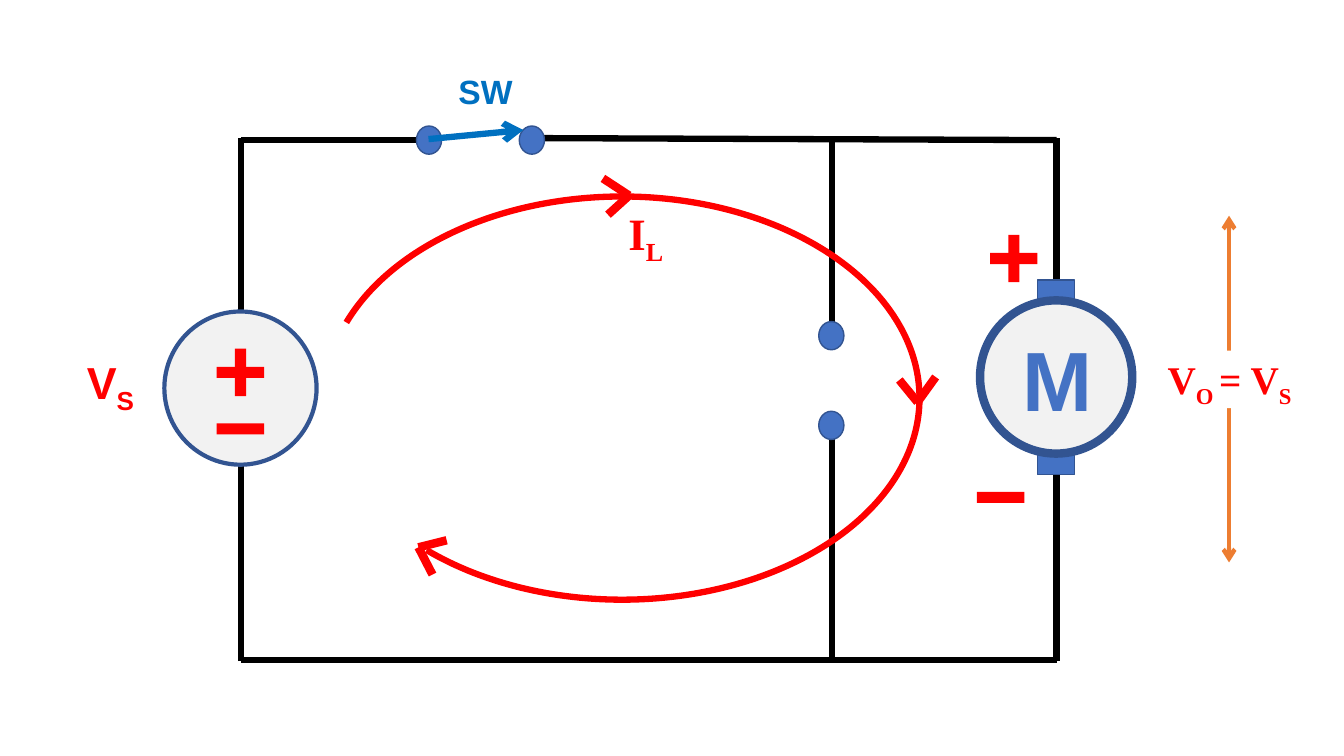
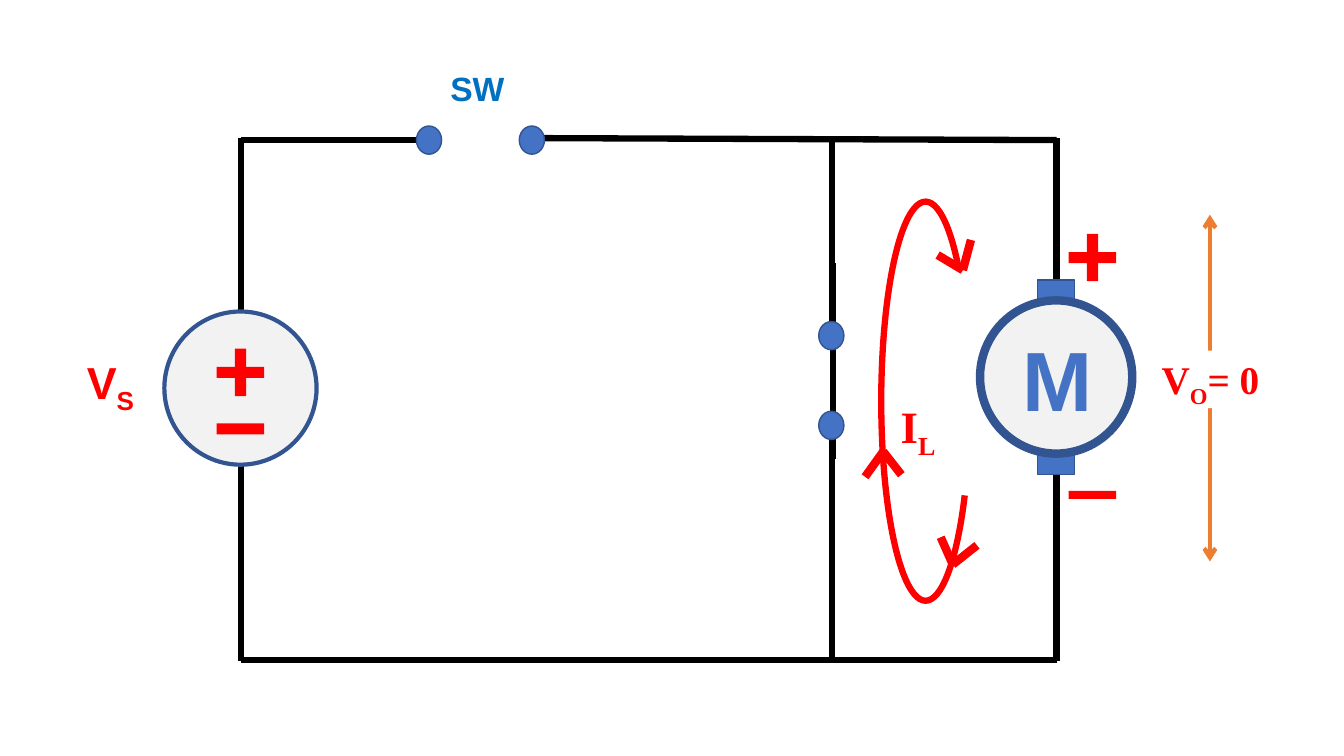
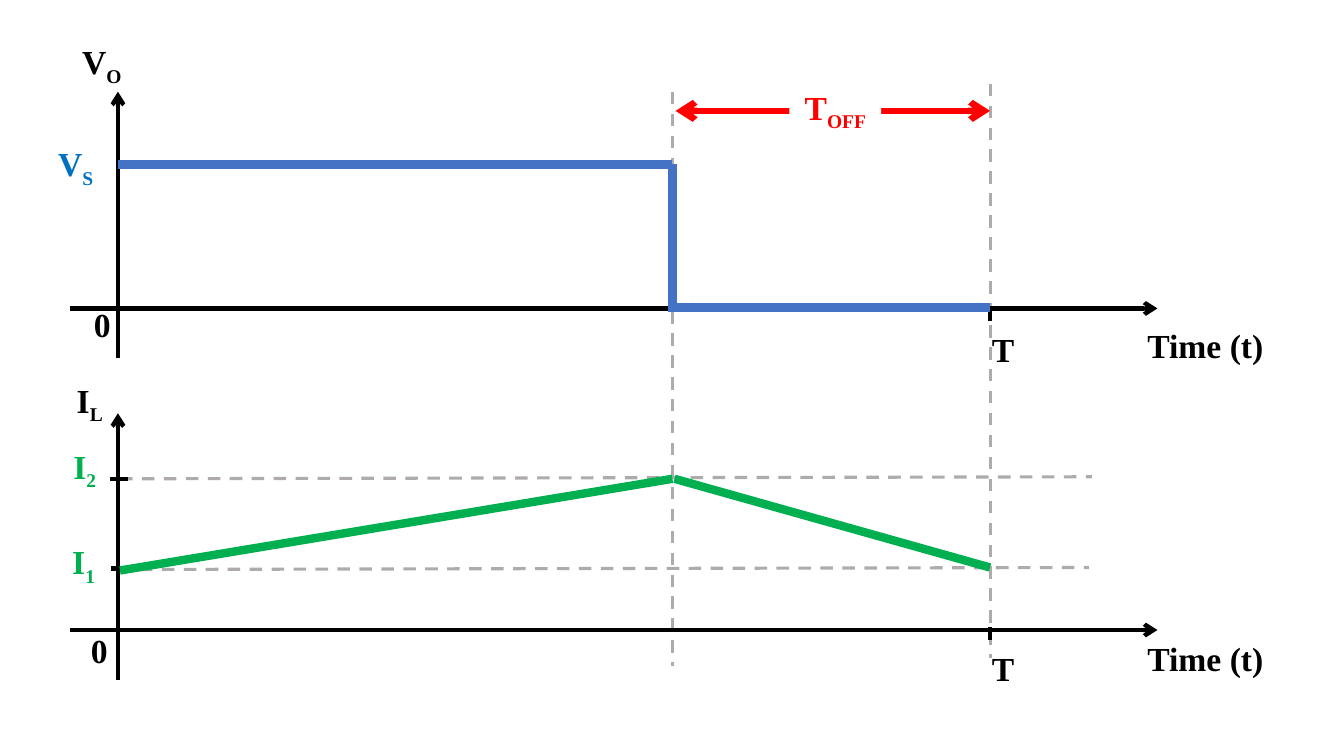
import pptx
import pptx.util
import pptx.dml.color
import pptx.enum.dml
import pptx.enum.shapes
import pptx.enum.text
import pptx.oxml.ns
import pptx.oxml.xmlchemy

Inches = pptx.util.Inches
RGBColor = pptx.dml.color.RGBColor
SHAPES = pptx.enum.shapes.MSO_SHAPE

BLACK = RGBColor(0x00, 0x00, 0x00)
WHITE = RGBColor(0xFF, 0xFF, 0xFF)
RED = RGBColor(0xFF, 0x00, 0x00)
BLUE = RGBColor(0x44, 0x72, 0xC4)
NAVY = RGBColor(0x32, 0x54, 0x91)
SKY = RGBColor(0x00, 0x70, 0xC0)
GREEN = RGBColor(0x00, 0xB0, 0x50)
ORANGE = RGBColor(0xED, 0x7D, 0x31)
PALE = RGBColor(0xF2, 0xF2, 0xF2)
GREY = RGBColor(0xAF, 0xAB, 0xAB)

SANS = "Arial"
SERIF = "Times New Roman"

# Circuit and chart positions shared by several parts
LEFT_X, SHUNT_X, RIGHT_X = 2.39, 8.25, 10.48
TOP_Y, BOTTOM_Y = 1.39, 6.55
AXIS_X, SWITCH_X, PERIOD_X = 1.17, 6.67, 9.82


# Basic elements
def add_line(slide, start, end, color=BLACK, width=4.5, ends=(), dashed=False):
    """Straight line; ends may hold "headEnd" (at start) and "tailEnd" (at end)."""
    line = slide.shapes.add_connector(
        pptx.enum.shapes.MSO_CONNECTOR.STRAIGHT,
        *(Inches(value) for value in (*start, *end)))
    line.line.color.rgb = color
    line.line.width = pptx.util.Pt(width)
    if dashed:
        line.line.dash_style = pptx.enum.dml.MSO_LINE.DASH
    properties = line.element.spPr
    outline = properties.find(pptx.oxml.ns.qn("a:ln"))
    for name in ends:
        arrow = pptx.oxml.xmlchemy.OxmlElement("a:" + name)
        arrow.set("type", "arrow")
        outline.append(arrow)
    properties.append(pptx.oxml.xmlchemy.OxmlElement("a:effectLst"))


def add_shape(slide, kind, box, fill=None, line=None, width=1.0):
    shape = slide.shapes.add_shape(kind, *(Inches(value) for value in box))
    shape.shadow.inherit = False
    if fill is None:
        shape.fill.background()
    else:
        shape.fill.solid()
        shape.fill.fore_color.rgb = fill
    if line is None:
        shape.line.fill.background()
    else:
        shape.line.color.rgb = line
        shape.line.width = pptx.util.Pt(width)
    return shape


def add_label(slide, box, parts, size, color, font=SERIF, masked=False):
    """Centred bold label; a part that starts with "_" is a subscript."""
    label = slide.shapes.add_textbox(*(Inches(value) for value in box))
    if masked:
        label.fill.solid()
        label.fill.fore_color.rgb = WHITE
    frame = label.text_frame
    frame.word_wrap = True
    frame.auto_size = pptx.enum.text.MSO_AUTO_SIZE.SHAPE_TO_FIT_TEXT
    para = frame.paragraphs[0]
    para.alignment = pptx.enum.text.PP_ALIGN.CENTER
    for part in parts:
        span = para.add_run()
        span.text = part.removeprefix("_")
        span.font.name = font
        span.font.size = pptx.util.Pt(size)
        span.font.bold = True
        span.font.color.rgb = color
        if part.startswith("_"):
            span._r.get_or_add_rPr().set("baseline", "-25000")


# Circuit elements
def add_minus(slide, left, top, height=0.11):
    return add_shape(slide, SHAPES.RECTANGLE, (left, top, 0.47, height), RED)


def add_plus(slide, left, top):
    add_minus(slide, left, top)
    add_minus(slide, left, top).rotation = 90


def add_contact(slide, left, top):
    add_shape(slide, SHAPES.OVAL, (left, top, 0.25, 0.28), BLUE, NAVY)


def add_current(slide, box, start, end, rotation=0, arrowheads=()):
    """Current loop as an arc between two angles, with open arrowheads."""
    arc = add_shape(slide, SHAPES.ARC, box, line=RED, width=4.5)
    arc.rotation = rotation
    for index, angle in enumerate((start, end)):
        arc.adjustments[index] = angle * 0.6  # 60000ths of a degree / 100000
    for first, tip, second in arrowheads:
        add_line(slide, first, tip, RED, 6)
        add_line(slide, second, tip, RED, 6)


def add_output_voltage(slide, x, bottom, top, box, parts):
    add_line(slide, (x, bottom), (x, top), ORANGE, 3, ("headEnd", "tailEnd"))
    add_label(slide, box, parts, 28, RED, masked=True)


def add_circuit(slide):
    # Wires
    for start, end in (
        ((LEFT_X, TOP_Y), (4.26, TOP_Y)),
        ((5.25, 1.37), (RIGHT_X, TOP_Y)),
        ((LEFT_X, BOTTOM_Y), (RIGHT_X, BOTTOM_Y)),
        ((LEFT_X, 6.56), (LEFT_X, 1.37)),
        ((RIGHT_X, 6.56), (RIGHT_X, 1.37)),
        ((SHUNT_X, 3.33), (SHUNT_X, TOP_Y)),
        ((SHUNT_X, BOTTOM_Y), (SHUNT_X, 4.2)),
    ):
        add_line(slide, start, end)
    # Contacts of the switch and of the shunt branch
    for left, top in ((4.13, 1.25), (5.15, 1.25), (8.12, 3.19), (8.12, 4.08)):
        add_contact(slide, left, top)
    # Voltage source
    add_shape(slide, SHAPES.OVAL, (1.63, 3.09, 1.51, 1.52), PALE, NAVY, 3)
    add_plus(slide, 2.15, 3.64)
    add_minus(slide, 2.15, 4.2)
    add_label(slide, (0.7, 3.47, 0.79, 0.64), ("V", "_S"), 32, RED, SANS)
    # Motor
    add_shape(slide, SHAPES.RECTANGLE, (10.29, 2.78, 0.37, 1.93), BLUE, NAVY)
    add_shape(slide, SHAPES.OVAL, (9.72, 2.98, 1.51, 1.52), PALE, NAVY, 6)
    add_label(slide, (9.62, 3.2, 1.74, 1.11), ("M",), 60, BLUE, SANS)


# Slides
def build_switch_closed(slide):
    add_circuit(slide)
    add_line(slide, (4.25, 1.38), (5.19, 1.29), SKY, ends=("tailEnd",))
    add_label(slide, (4.34, 0.65, 0.95, 0.5), ("SW",), 24, SKY, SANS)
    add_plus(slide, 9.82, 2.51)
    add_minus(slide, 9.69, 4.88)
    add_output_voltage(slide, 12.19, 5.58, 2.14, (11.44, 3.48, 1.51, 0.57),
                       ("V", "_O ", "= V", "_S"))
    add_label(slide, (6.01, 1.99, 0.79, 0.64), ("I", "_L"), 32, RED)
    add_current(slide, (3.22, 1.95, 5.9, 4), 195.34, 142.14, arrowheads=(
        ((5.98, 1.77), (6.24, 1.94), (6.03, 2.13)),
        ((9.28, 3.74), (9.1, 3.99), (8.92, 3.77)),
        ((4.29, 5.7), (4.15, 5.43), (4.43, 5.36)),
    ))


def build_switch_open(slide):
    add_line(slide, (8.26, 4.55), (8.26, 2.61))
    add_circuit(slide)
    add_label(slide, (4.26, 0.62, 0.95, 0.5), ("SW",), 24, SKY, SANS)
    add_plus(slide, 10.6, 2.5)
    add_minus(slide, 10.6, 4.87, 0.08)
    add_output_voltage(slide, 12, 5.57, 2.13, (11.39, 3.48, 1.23, 0.57),
                       ("V", "_O", "= 0"))
    add_label(slide, (8.71, 3.91, 0.79, 0.64), ("I", "_L"), 32, RED)
    add_current(slide, (8.74, 2, 0.88, 3.96), 247.46, 103.46, 180, (
        ((9.69, 5.41), (9.45, 5.6), (9.33, 5.33)),
        ((8.58, 4.73), (8.76, 4.48), (8.94, 4.71)),
        ((9.63, 2.38), (9.55, 2.68), (9.3, 2.53)),
    ))


def add_axes(slide, base, top, bottom):
    add_line(slide, (AXIS_X, bottom), (AXIS_X, top), width=3, ends=("tailEnd",))
    add_line(slide, (0.69, base), (11.48, base), width=3, ends=("tailEnd",))


def build_waveforms(slide):
    # Guide lines
    for start, end in (
        ((PERIOD_X, 0.83), (PERIOD_X, 6.53)),
        ((1.19, 4.75), (10.83, 4.73)),
        ((AXIS_X, 5.65), (10.8, 5.63)),
        ((SWITCH_X, 0.91), (SWITCH_X, 6.61)),
    ):
        add_line(slide, start, end, GREY, 2.25, dashed=True)
    # Axes and ticks
    add_axes(slide, 3.06, 0.91, 3.55)
    add_axes(slide, 6.25, 4.1, 6.75)
    for start, end in (
        ((PERIOD_X, 3.06), (PERIOD_X, 3.18)),
        ((PERIOD_X, 6.22), (PERIOD_X, 6.35)),
        ((1.09, 4.75), (1.27, 4.75)),
        ((1.1, 5.64), (1.27, 5.64)),
    ):
        add_line(slide, start, end, width=3)
    # Off-time span
    add_line(slide, (6.7, 1.1), (PERIOD_X, 1.1), RED,
             ends=("headEnd", "tailEnd"))
    # Labels
    for box, parts, color, masked in (
        ((0.38, 0.36, 1.26, 0.5), ("V", "_O"), BLACK, True),
        ((0.41, 1.37, 0.68, 0.5), ("V", "_S"), SKY, True),
        ((7.83, 0.81, 0.91, 0.5), ("T", "_OFF"), RED, True),
        ((0.64, 3.72, 0.5, 0.5), ("I", "_L"), BLACK, False),
        ((0.59, 4.37, 0.5, 0.5), ("I", "_2"), GREEN, False),
        ((0.58, 5.32, 0.5, 0.5), ("I", "_1"), GREEN, False),
        ((0.83, 2.97, 0.37, 0.5), ("0",), BLACK, False),
        ((0.8, 6.2, 0.37, 0.5), ("0",), BLACK, False),
        ((9.32, 3.21, 1.26, 0.5), ("T",), BLACK, False),
        ((9.32, 6.38, 1.26, 0.5), ("T",), BLACK, False),
        ((10.93, 3.17, 2.05, 0.5), ("Time (t)",), BLACK, False),
        ((10.93, 6.28, 2.05, 0.5), ("Time (t)",), BLACK, False),
    ):
        add_label(slide, box, parts, 24, color, masked=masked)
    # Voltage and current curves
    for start, end, color in (
        ((AXIS_X, 1.63), (SWITCH_X, 1.63), BLUE),
        ((SWITCH_X, 3.06), (SWITCH_X, 1.63), BLUE),
        ((6.63, 3.05), (PERIOD_X, 3.05), BLUE),
        ((1.19, 5.66), (SWITCH_X, 4.75), GREEN),
        ((6.69, 4.75), (PERIOD_X, 5.63), GREEN),
    ):
        add_line(slide, start, end, color, 6)


def main():
    deck = pptx.Presentation()
    deck.slide_width = Inches(13.33)
    deck.slide_height = Inches(7.5)
    for build in (build_switch_closed, build_switch_open, build_waveforms):
        build(deck.slides.add_slide(deck.slide_layouts[6]))
    deck.save("out.pptx")


main()
